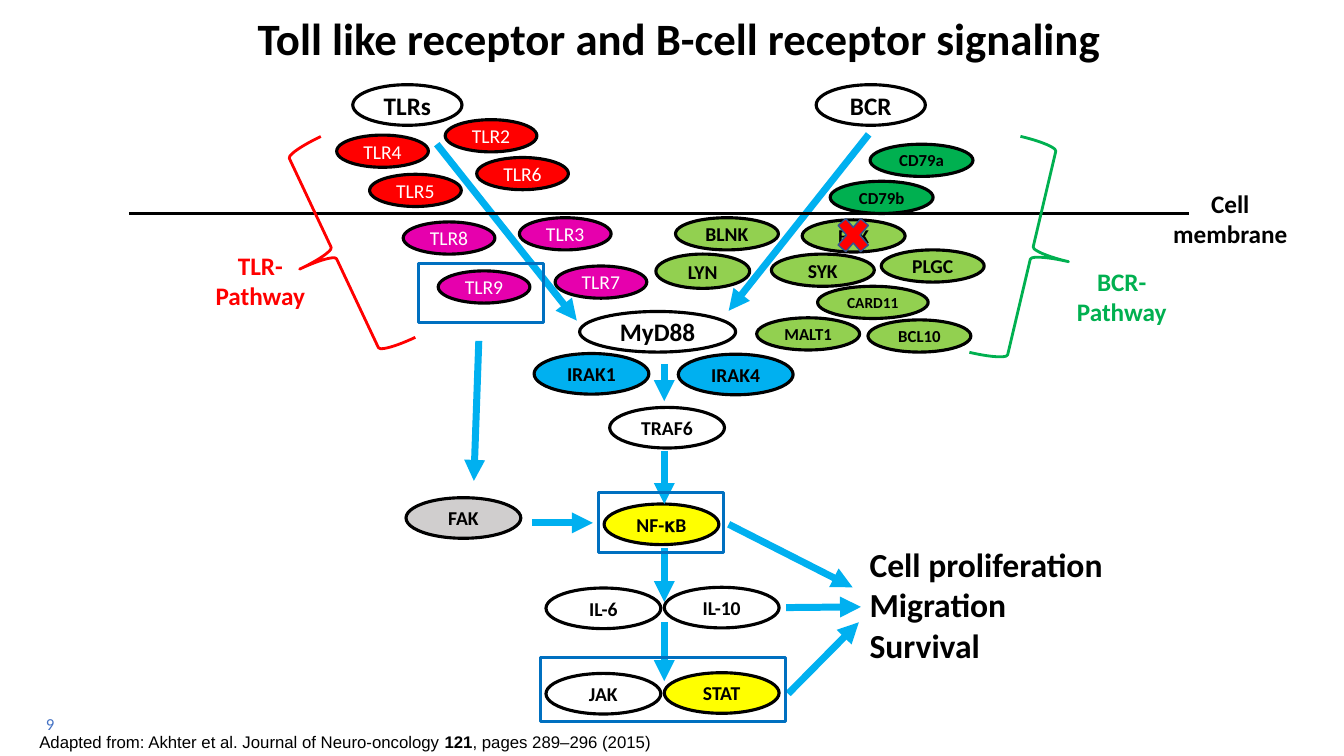
from lxml import etree
from pptx import Presentation
from pptx.dml.color import RGBColor
from pptx.enum.shapes import MSO_CONNECTOR, MSO_SHAPE
from pptx.enum.text import MSO_ANCHOR, PP_ALIGN
from pptx.oxml.ns import qn
from pptx.util import Pt

OVAL, RECT = MSO_SHAPE.OVAL, MSO_SHAPE.RECTANGLE
BRACE, CROSS = MSO_SHAPE.LEFT_BRACE, MSO_SHAPE.MATH_MULTIPLY
STRAIGHT = MSO_CONNECTOR.STRAIGHT
TOP, MIDDLE = MSO_ANCHOR.TOP, MSO_ANCHOR.MIDDLE
LEFT, CENTER = PP_ALIGN.LEFT, PP_ALIGN.CENTER

BLACK = RGBColor(0x00, 0x00, 0x00)
WHITE = RGBColor(0xFF, 0xFF, 0xFF)
RED = RGBColor(0xFF, 0x00, 0x00)
MAGENTA = RGBColor(0xE6, 0x00, 0xAD)
GREEN = RGBColor(0x00, 0xB0, 0x50)
LIME = RGBColor(0x92, 0xD0, 0x50)
YELLOW = RGBColor(0xFF, 0xFF, 0x00)
GREY = RGBColor(0xD0, 0xCE, 0xCE)
SKY = RGBColor(0x00, 0xB0, 0xF0)
FRAME_BLUE = RGBColor(0x00, 0x70, 0xC0)
NUMBER_BLUE = RGBColor(0x44, 0x72, 0xC4)
NAVY = RGBColor(0x32, 0x54, 0x91)

RECEPTORS = [
    (78, 29, WHITE, BLACK, True, [("TLRs", 252, 60.5, 18), ("BCR", 583, 60.5, 18)]),
    (111.5, 29, WHITE, BLACK, True, [("MyD88", 414, 222.5, 18)]),
    (65.5, 23, RED, WHITE, False, [
        ("TLR4", 240.5, 96.5, 14), ("TLR5", 264, 124.5, 14),
        ("TLR2", 318, 85.5, 14), ("TLR6", 340.5, 112.5, 14)]),
    (65.5, 23, MAGENTA, WHITE, False, [
        ("TLR8", 288, 158.5, 14), ("TLR9", 313, 193.5, 14),
        ("TLR3", 371, 155.5, 14), ("TLR7", 396.5, 190, 14)]),
    (73.5, 23, GREEN, BLACK, True, [
        ("CD79a", 621.5, 103, 12), ("CD79b", 593, 129.5, 12)]),
    (73.5, 23, LIME, BLACK, True, [
        ("BTK", 573, 157, 14), ("SYK", 551, 181.5, 14), ("PLGC", 629.5, 178.5, 14)]),
    (79, 23, LIME, BLACK, True, [("CARD11", 584, 204.5, 11)]),
    (73.5, 23, LIME, BLACK, True, [
        ("MALT1", 540.5, 227, 12), ("BCL10", 620, 228.5, 12), ("BLNK", 482.5, 155.5, 14)]),
    (67, 24.5, LIME, BLACK, True, [("LYN", 468.5, 181.5, 14)]),
]
DOWNSTREAM = [
    (82, 29, YELLOW, BLACK, True, [("NF-𝛋B", 431.5, 360, 14), ("STAT", 474.5, 480.5, 14)]),
    (82, 29, WHITE, BLACK, True, [
        ("IL-6", 390, 420, 14), ("IL-10", 474.5, 419.5, 14),
        ("JAK", 390, 481, 14), ("TRAF6", 435.5, 291, 14)]),
    (82, 29, SKY, BLACK, True, [("IRAK1", 381.5, 252.5, 14), ("IRAK4", 484.5, 253, 14)]),
    (82, 29, GREY, BLACK, True, [("FAK", 290, 355.5, 14)]),
]
AXIS = 474.5
ARROWS_BEHIND = [
    (312, 103, 412, 229), (620.5, 96, 520.5, 222),
    (AXIS, 391.5, AXIS, 430), (AXIS, 444.5, AXIS, 486.5)]
ARROWS_FRONT = [
    (520.5, 374.5, 609, 419.5), (561.5, 434, 615, 433.5), (563, 495.5, 613.5, 444.5),
    (AXIS, 322, AXIS, 360), (AXIS, 260, AXIS, 286.5),
    (380, 373.5, 423.5, 373.5), (342, 243.5, 338.5, 343.5)]


class Diagram:
    """Draws styled elements on one slide, with lengths in points."""

    def __init__(self, slide, font="Calibri"):
        self.s, self.font = slide, font

    def shape(self, kind, x, y, w, h, line, width, fill=None, rot=0):
        sp = self.s.shapes.add_shape(kind, Pt(x), Pt(y), Pt(w), Pt(h))
        sp.shadow.inherit = False
        sp.rotation = rot
        sp.line.color.rgb, sp.line.width = line, Pt(width)
        if fill is None:
            sp.fill.background()
        else:
            sp.fill.solid()
            sp.fill.fore_color.rgb = fill
        return sp

    def style(self, p, size, color, bold, align, font=None):
        p.alignment = align
        f = p.font
        f.name, f.size, f.bold = font or self.font, Pt(size), bold
        f.color.rgb = color

    def ovals(self, groups):
        for w, h, fill, color, bold, items in groups:
            for text, x, y, size in items:
                sp = self.shape(OVAL, x, y, w, h, BLACK, 2.25, fill)
                tf = sp.text_frame
                tf.word_wrap, tf.vertical_anchor = False, MIDDLE
                tf.margin_left = tf.margin_right = tf.margin_top = tf.margin_bottom = 0
                tf.text = text
                self.style(tf.paragraphs[0], size, color, bold, CENTER)

    def line(self, x1, y1, x2, y2, color=SKY, width=5, arrow=True):
        c = self.s.shapes.add_connector(STRAIGHT, Pt(x1), Pt(y1), Pt(x2), Pt(y2))
        c.line.color.rgb, c.line.width = color, Pt(width)
        if arrow:
            etree.SubElement(c.line._get_or_add_ln(), qn("a:tailEnd"), type="triangle")
        etree.SubElement(c._element.spPr, qn("a:effectLst"))

    def text(self, lines, x, y, w, h, size, color=BLACK, bold=True, align=CENTER,
             wrap=True, anchor=TOP):
        tf = self.s.shapes.add_textbox(Pt(x), Pt(y), Pt(w), Pt(h)).text_frame
        tf.word_wrap, tf.vertical_anchor = wrap, anchor
        tf.text = "\n".join(lines)
        for p in tf.paragraphs:
            self.style(p, size, color, bold, align)
        return tf

    def citation(self, parts, x, y, w, h, size):
        tf = self.text([""], x, y, w, h, size, wrap=False)
        p = tf.paragraphs[0]
        self.style(p, size, BLACK, False, LEFT, "Arial")
        for text, bold in parts:
            r = p.add_run()
            r.text, r.font.bold = text, bold


def main():
    prs = Presentation()
    prs.slide_width, prs.slide_height = Pt(960), Pt(540)
    d = Diagram(prs.slides.add_slide(prs.slide_layouts[6]))

    d.text(["9"], 16, 509, 39.5, 16.5, 12, NUMBER_BLUE, False, anchor=MIDDLE)
    d.citation([("Adapted from: Akhter et al. Journal of Neuro-oncology ", False),
                ("121", True), (", pages 289–296 (2015)", False)], 21, 519, 454.5, 21.5, 12)
    d.text(["Toll like receptor and B-cell receptor signaling"],
           177, 3.5, 649.5, 46, 32, align=LEFT, wrap=False, anchor=MIDDLE)

    d.ovals(RECEPTORS)
    for ends in ARROWS_BEHIND:
        d.line(*ends)
    d.line(92, 152.5, 849.5, 152.5, BLACK, 2, False)
    d.ovals(DOWNSTREAM)
    for ends in ARROWS_FRONT:
        d.line(*ends)

    d.shape(BRACE, 211.5, 101.5, 54, 158.5, RED, 2, rot=334.8)
    bcr_brace = d.shape(BRACE, 710, 101.5, 54, 158.5, GREEN, 2, rot=13.3)
    bcr_brace._element.spPr.xfrm.set("flipH", "1")
    d.text(["TLR-Pathway"], 136, 175, 100, 51, 18, RED)
    d.text(["BCR-Pathway"], 753, 186.5, 96.5, 51, 18, GREEN)
    d.text(["Cell", "membrane"], 829.5, 131, 98.5, 51, 18)
    d.text(["Cell proliferation", "Migration", "Survival"],
           614, 385, 181.5, 94.5, 24, align=LEFT, wrap=False)

    d.shape(CROSS, 594, 150, 31, 36, NAVY, 1, RED)
    for x, y, w, h in [(386, 469.5, 175, 46), (427.5, 352, 89.5, 42.5), (299, 188, 89.5, 42.5)]:
        d.shape(RECT, x, y, w, h, FRAME_BLUE, 2)

    prs.save("out.pptx")


if __name__ == "__main__":
    main()
